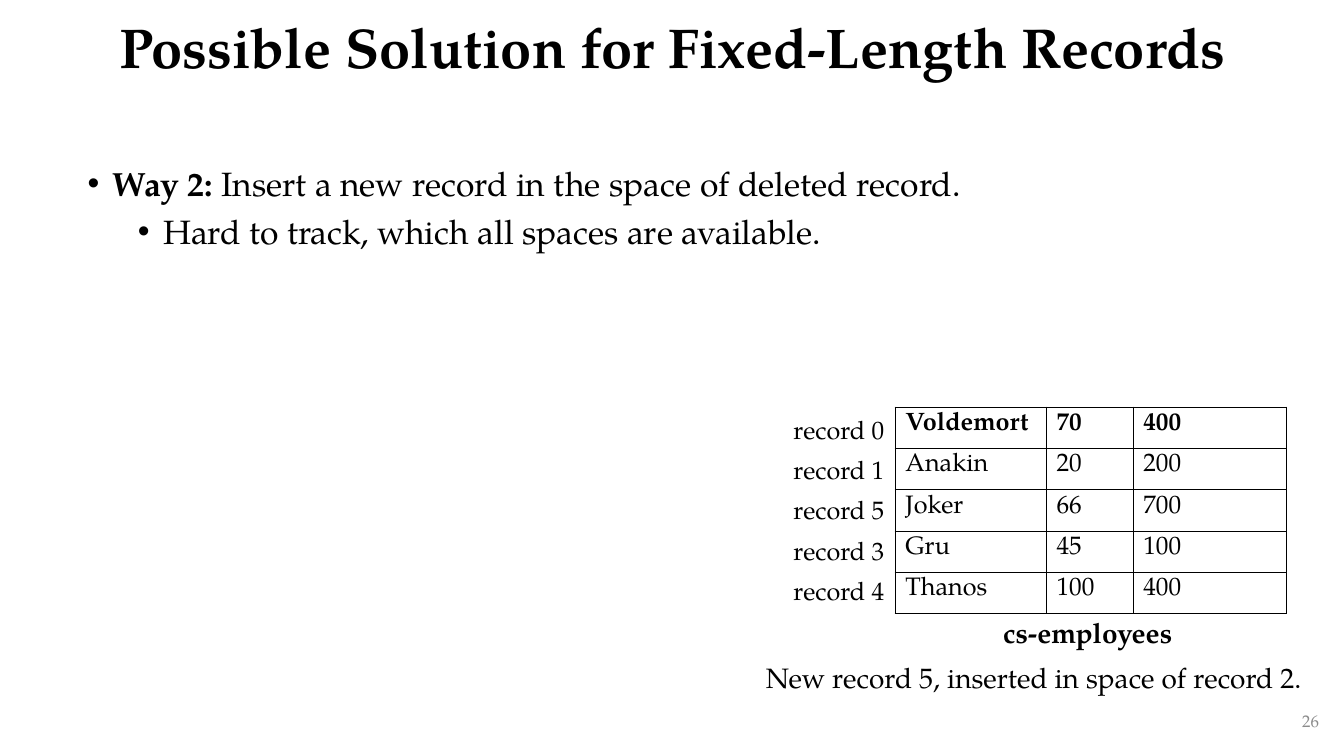
from lxml.etree import SubElement
from pptx import Presentation
from pptx.dml.color import RGBColor
from pptx.enum.text import MSO_ANCHOR, PP_ALIGN
from pptx.oxml import parse_xml
from pptx.oxml.ns import nsdecls, qn
from pptx.util import Inches, Pt

FONT = "TeX Gyre Pagella"
COLORS = {"text": "000000", "border": "000000", "number": "8C8C8C"}
EMPLOYEES = [
    ("Voldemort", "70", "400"),
    ("Anakin", "20", "200"),
    ("Joker", "66", "700"),
    ("Gru", "45", "100"),
    ("Thanos", "100", "400"),
]
RECORD_NUMBERS = [0, 1, 5, 3, 4]
COLUMN_WIDTHS = [1.5, 0.86, 1.52]
ROW_HEIGHT = 0.41


def style(paragraph, size, bold=False, color="text"):
    """Set the font of a whole paragraph."""
    font = paragraph.font
    font.name, font.size, font.bold = FONT, Pt(size), bold
    font.color.rgb = RGBColor.from_string(COLORS[color])


def add_label(slide, box, text, size, align=PP_ALIGN.LEFT, bold=False,
              color="text", anchor=MSO_ANCHOR.TOP, wrap=True):
    """Add a one-paragraph text box and return its paragraph."""
    frame = slide.shapes.add_textbox(*map(Inches, box)).text_frame
    frame.word_wrap = wrap
    frame.vertical_anchor = anchor
    paragraph = frame.paragraphs[0]
    paragraph.text = text
    paragraph.alignment = align
    style(paragraph, size, bold, color)
    return paragraph


def add_bullets(slide, box, items):
    """Add bullets given as (indent, space before, [(text, bold), ...])."""
    frame = slide.shapes.add_textbox(*map(Inches, box)).text_frame
    frame.word_wrap = True
    for index, (indent, space, parts) in enumerate(items):
        paragraph = frame.add_paragraph() if index else frame.paragraphs[0]
        paragraph.alignment = PP_ALIGN.JUSTIFY
        paragraph.level = index
        paragraph.space_before = Pt(space)
        properties = paragraph._p.get_or_add_pPr()
        properties.set("marL", str(Inches(indent)))
        properties.set("indent", str(Inches(-0.25)))
        SubElement(properties, qn("a:buFont"), typeface="Arial")
        SubElement(properties, qn("a:buChar"), char="•")
        style(paragraph, 24)
        for text, bold in parts:
            run = paragraph.add_run()
            run.text = text
            if bold:
                run.font.bold = True


def add_borders(cell):
    """Draw a thin line on every side of a cell."""
    properties = cell._tc.get_or_add_tcPr()
    for position, side in enumerate(("lnL", "lnR", "lnT", "lnB")):
        properties.insert(position, parse_xml(
            f'<a:{side} {nsdecls("a")} w="{Pt(1)}"><a:solidFill>'
            f'<a:srgbClr val="{COLORS["border"]}"/></a:solidFill></a:{side}>'))


def add_employees(slide, left, top):
    """Add the table of employee records with its first row in bold."""
    table = slide.shapes.add_table(
        len(EMPLOYEES), len(COLUMN_WIDTHS), Inches(left), Inches(top),
        Inches(sum(COLUMN_WIDTHS)), Inches(ROW_HEIGHT * len(EMPLOYEES))).table
    table.first_row = table.horz_banding = False
    for column, width in zip(table.columns, COLUMN_WIDTHS):
        column.width = Inches(width)
    for row_index, record in enumerate(EMPLOYEES):
        table.rows[row_index].height = Inches(ROW_HEIGHT)
        for column_index, value in enumerate(record):
            cell = table.cell(row_index, column_index)
            cell.text = value
            cell.fill.background()
            style(cell.text_frame.paragraphs[0], 18, bold=row_index == 0)
            add_borders(cell)


def main():
    """Build the slide and save it."""
    deck = Presentation()
    deck.slide_width, deck.slide_height = Inches(13.33), Inches(7.5)
    slide = deck.slides.add_slide(deck.slide_layouts[6])

    title = add_label(slide, (0.92, 0, 11.5, 0.99),
                      "Possible Solution for Fixed-Length Records", 40,
                      PP_ALIGN.CENTER, bold=True, anchor=MSO_ANCHOR.MIDDLE)
    title.line_spacing = 0.9
    add_bullets(slide, (0.77, 1.57, 11.85, 5.43), [
        (0.25, 0, [("Way 2:", True),
                   (" Insert a new record in the space of deleted record.", False)]),
        (0.75, 5, [("Hard to track, which all spaces are available.", False)]),
    ])
    add_label(slide, (7.26, 6.5, 5.99, 0.44),
              "New record 5, inserted in space of record 2.", 20, PP_ALIGN.CENTER)
    add_employees(slide, 8.88, 4.04)
    add_label(slide, (9.85, 6.06, 2.01, 0.44), "cs-employees", 20, bold=True)
    for index, number in enumerate(RECORD_NUMBERS):
        add_label(slide, (7.77, 4.06 + 0.4 * index, 1.12, 0.4),
                  f"record {number}", 18, wrap=False)
    add_label(slide, (10.18, 6.95, 3, 0.4), "26", 12, PP_ALIGN.RIGHT,
              color="number", anchor=MSO_ANCHOR.MIDDLE)
    deck.save("out.pptx")


if __name__ == "__main__":
    main()
